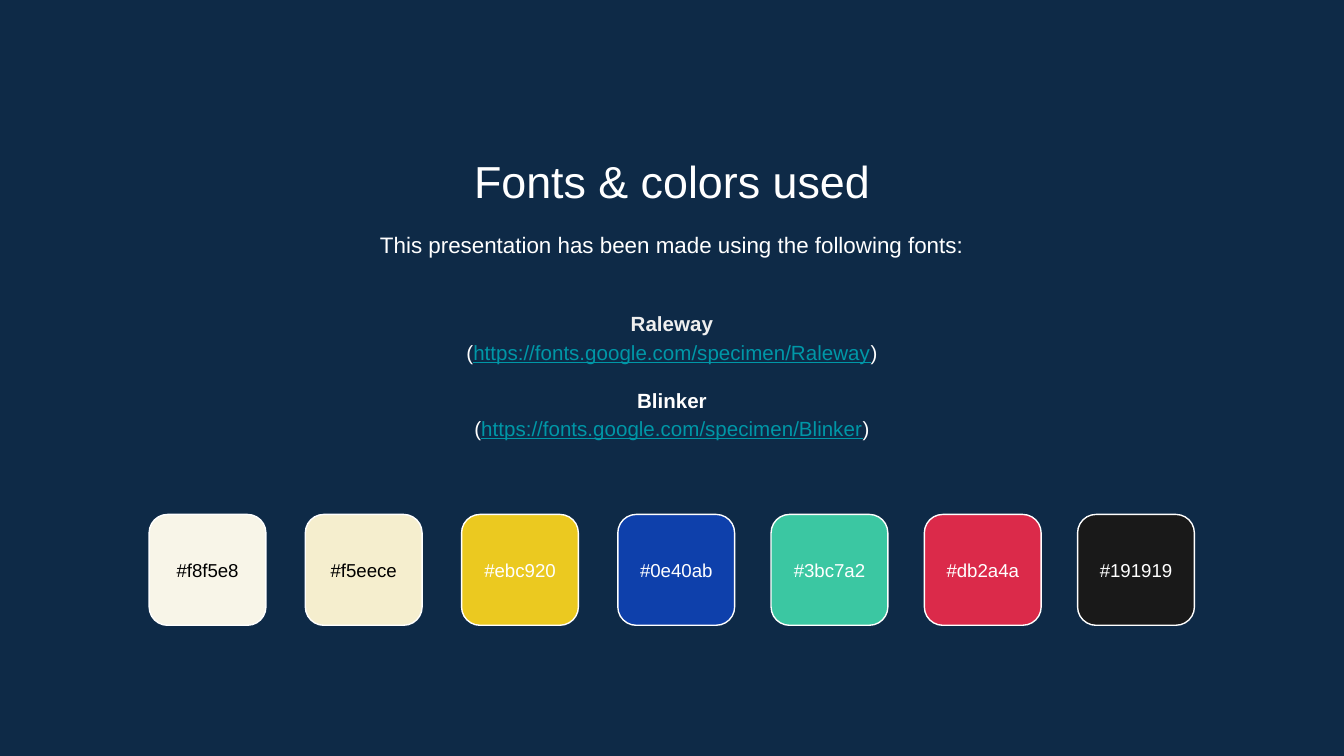
from dataclasses import dataclass

from pptx import Presentation
from pptx.dml.color import RGBColor
from pptx.enum import shapes, text
from pptx.util import Pt


@dataclass(frozen=True)
class Theme:
    font: str = "Arial"
    background: str = "0E2A47"
    light: str = "FFFFFF"
    soft: str = "EFEFEF"
    dark: str = "000000"
    link: str = "0097A7"
    title_size: float = 24
    intro_size: float = 12
    body_size: float = 11
    label_size: float = 10
    line_spacing: float = 1.15
    inset: float = 7.2


THEME = Theme()
FONTS = ["Raleway", "Blinker"]
# Fill and label colour of each swatch
PALETTE = [
    ("f8f5e8", THEME.dark),
    ("f5eece", THEME.dark),
    ("ebc920", THEME.light),
    ("0e40ab", THEME.light),
    ("3bc7a2", THEME.light),
    ("db2a4a", THEME.light),
    ("191919", THEME.light),
]


def rgb(value):
    return RGBColor.from_string(value.upper())


def add_frame(slide, box, anchor=text.MSO_ANCHOR.TOP):
    frame = slide.shapes.add_textbox(*map(Pt, box)).text_frame
    frame.word_wrap = True
    frame.vertical_anchor = anchor
    frame.margin_left = frame.margin_right = Pt(THEME.inset)
    frame.margin_top = frame.margin_bottom = Pt(THEME.inset)
    return frame


def write(paragraph, runs, size, spacing=None, bold=False):
    """Fill a centred paragraph with (wording, colour) runs."""
    paragraph.alignment = text.PP_ALIGN.CENTER
    paragraph.line_spacing = spacing
    paragraph.font.name = THEME.font
    paragraph.font.size = Pt(size)
    paragraph.font.bold = bold
    for wording, color in runs:
        run = paragraph.add_run()
        run.text = wording
        run.font.color.rgb = rgb(color)
        if color == THEME.link:
            run.font.underline = True


def add_heading(slide, box):
    left, top, width, _ = box
    title = add_frame(slide, (left, top, width, 38))
    write(title.paragraphs[0], [("Fonts & colors used", THEME.light)], THEME.title_size)
    intro = add_frame(slide, (left, top + 39.6, width, 34.6))
    wording = "This presentation has been made using the following fonts:"
    write(intro.paragraphs[0], [(wording, THEME.light)], THEME.intro_size, THEME.line_spacing)


def add_font_list(slide, box):
    frame = add_frame(slide, box, text.MSO_ANCHOR.MIDDLE)
    for index, font in enumerate(FONTS):
        name = frame.add_paragraph() if index else frame.paragraphs[0]
        name_color = THEME.light if index else THEME.soft
        write(name, [(font, name_color)], THEME.body_size, THEME.line_spacing, bold=True)
        if index:
            name.space_before = Pt(10.6)
        address = [
            ("(", THEME.light),
            (f"https://fonts.google.com/specimen/{font}", THEME.link),
            (")", THEME.light),
        ]
        write(frame.add_paragraph(), address, THEME.body_size, THEME.line_spacing)


def add_swatch(slide, box, fill, label_color):
    left, top, width, height = box
    tile = slide.shapes.add_shape(shapes.MSO_SHAPE.ROUNDED_RECTANGLE, *map(Pt, box))
    tile.shadow.inherit = False
    tile.fill.solid()
    tile.fill.fore_color.rgb = rgb(fill)
    tile.line.color.rgb = rgb(THEME.light)
    tile.line.width = Pt(0.75)

    label_height = 34.6
    label_top = top + (height - label_height) / 2
    label = add_frame(slide, (left, label_top, width, label_height), text.MSO_ANCHOR.MIDDLE)
    write(label.paragraphs[0], [("#" + fill, label_color)], THEME.label_size)


def add_palette(slide, box):
    left, top, _, height = box
    # The first four swatches stand slightly wider apart than the rest
    wide_step, step, wide_count = 83.7, 82.1, 3
    for index, (fill, label_color) in enumerate(PALETTE):
        wide = min(index, wide_count)
        x = left + wide * wide_step + (index - wide) * step
        add_swatch(slide, (x, top, 62.6, height), fill, label_color)


def main():
    deck = Presentation()
    deck.slide_width, deck.slide_height = Pt(720), Pt(405)
    slide = deck.slides.add_slide(deck.slide_layouts[6])
    slide.background.fill.solid()
    slide.background.fill.fore_color.rgb = rgb(THEME.background)

    add_heading(slide, (82.5, 75, 555, 74.2))
    add_font_list(slide, (82.5, 151.2, 555, 98.6))
    add_palette(slide, (79.9, 275.6, 560, 59.4))
    deck.save("out.pptx")


if __name__ == "__main__":
    main()
